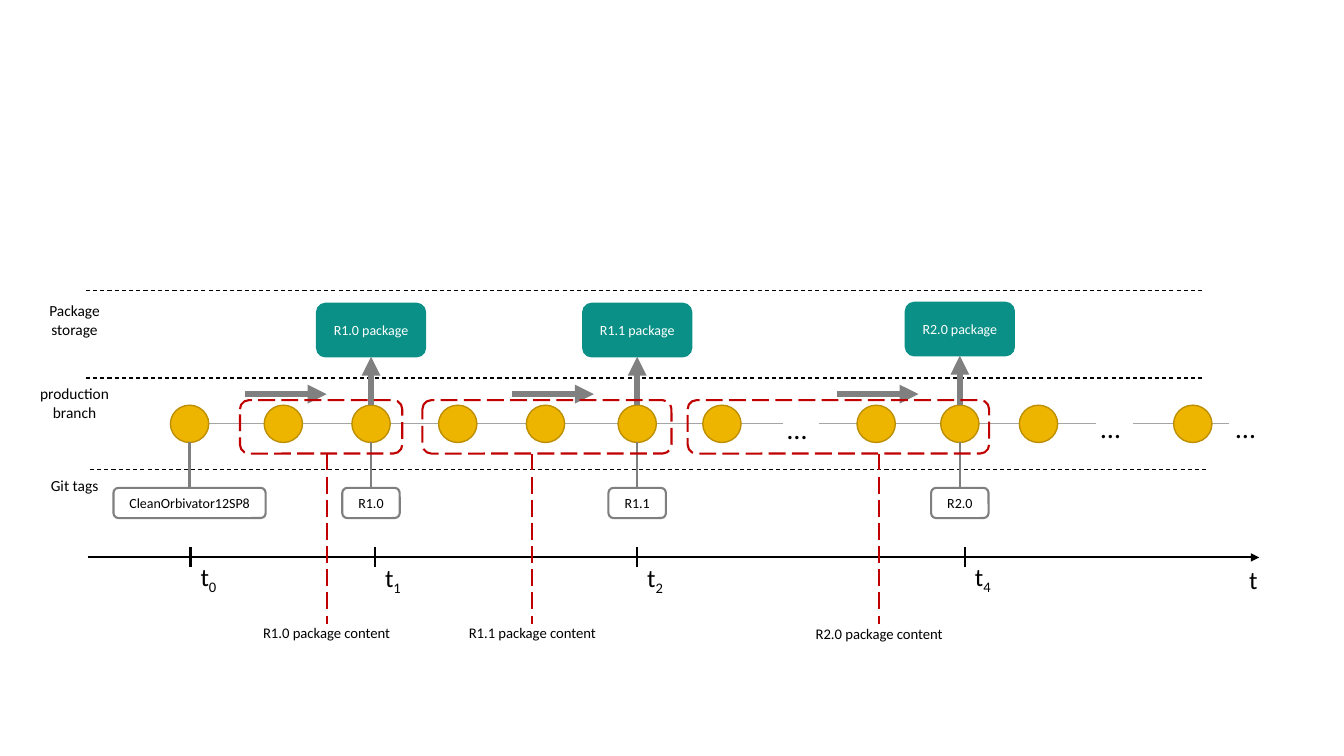
from dataclasses import dataclass
from itertools import pairwise

from lxml import etree
from pptx import Presentation
from pptx.dml.color import RGBColor
from pptx.enum.dml import MSO_LINE
from pptx.enum.shapes import MSO_CONNECTOR, MSO_SHAPE
from pptx.enum.text import MSO_ANCHOR, PP_ALIGN
from pptx.oxml.ns import qn
from pptx.util import Inches, Pt

STRAIGHT = MSO_CONNECTOR.STRAIGHT
ROUNDED = MSO_SHAPE.ROUNDED_RECTANGLE
COMMIT = MSO_SHAPE.FLOWCHART_CONNECTOR
DASH, LONG_DASH = MSO_LINE.DASH, MSO_LINE.LONG_DASH
TOP, MIDDLE = MSO_ANCHOR.TOP, MSO_ANCHOR.MIDDLE
LEFT, CENTER = PP_ALIGN.LEFT, PP_ALIGN.CENTER


@dataclass(frozen=True)
class Theme:
    font: str = "Calibri"
    ink: str = "000000"
    white: str = "FFFFFF"
    gold: str = "EEB500"
    gold_edge: str = "BD8E00"
    teal: str = "0A9086"
    red: str = "C00000"
    arrow: str = "808080"
    tag: str = "7F7F7F"
    link: str = "A5A5A5"
    box_size: float = 10
    content_size: float = 10.5
    lane_size: float = 11
    time_size: float = 18
    dots_size: float = 20


@dataclass(frozen=True)
class Release:
    name: str
    commit_x: float
    package_top: float
    arrow_x: float
    scope_x: float
    scope_width: float
    content_x: float
    content_top: float


@dataclass(frozen=True)
class Lane:
    label: str
    left: float
    top: float
    width: float
    height: float
    line_x: float
    line_y: float


@dataclass(frozen=True)
class Moment:
    index: str
    x: float
    label_top: float


THEME = Theme()
COMMIT_WIDTH, COMMIT_HEIGHT, COMMIT_TOP = 0.38, 0.37, 4.02
COMMIT_Y, COMMIT_BOTTOM = 4.2, 4.39
TAG_TOP, TAG_HEIGHT, TAG_WIDTH = 4.84, 0.3, 0.57
PACKAGE_WIDTH, PACKAGE_HEIGHT = 1.08, 0.53
SCOPE_TOP, SCOPE_HEIGHT = 3.97, 0.53
ARROW_Y, ARROW_LENGTH = 3.91, 0.81
AXIS_Y, TICK_HALF = 5.53, 0.1
CONTENT_WIDTH = 1.49

RELEASES = [
    Release("R1.0", 3.68, 3.01, 2.43, 2.38, 1.61, 3.24, 6.14),
    Release("R1.1", 6.32, 3.01, 5.08, 4.19, 2.47, 5.28, 6.14),
    Release("R2.0", 9.52, 3.0, 8.3, 6.82, 2.99, 8.72, 6.15),
]
LANES = [
    Lane("Package storage", 0.26, 2.94, 0.96, 0.47, 0.85, 2.88),
    Lane("production branch", 0.26, 3.76, 0.96, 0.47, 0.85, 3.75),
    Lane("Git tags", 0.3, 4.67, 0.88, 0.29, 0.89, 4.66),
]
LANE_LENGTH = 11.08
MOMENTS = [Moment("0", 1.89, 5.54), Moment("1", 3.72, 5.55),
           Moment("2", 6.32, 5.55), Moment("4", 9.57, 5.54)]
COMMIT_RUNS = [[1.88, 2.81, 3.68, 4.54, 5.41, 6.32, 7.16], [8.69, 9.52, 10.3], [11.83]]
LOOSE_LINKS = [(7.35, 7.77), (8.12, 8.5), (10.48, 10.87), (11.24, 11.64), (12.02, 12.19)]
DOTS = [(7.71, 4.03), (10.82, 4.02), (12.16, 4.02)]

deck = Presentation()
deck.slide_width, deck.slide_height = Inches(13.33), Inches(7.5)
slide = deck.slides.add_slide(deck.slide_layouts[6])


def write(frame, text: str, *, size: float, color: str = THEME.ink, align=LEFT,
          anchor=MIDDLE, wrap: bool = True, subscript: str = "") -> None:
    frame.word_wrap = wrap
    frame.vertical_anchor = anchor
    paragraph = frame.paragraphs[0]
    paragraph.alignment = align
    for part in filter(None, (text, subscript)):
        run = paragraph.add_run()
        run.text = part
        run.font.name = THEME.font
        run.font.size = Pt(size)
        run.font.color.rgb = RGBColor.from_string(color)
    if subscript:
        run.font._element.set("baseline", "-25000")


def add_label(text: str, left: float, top: float, width: float, height: float, **style) -> None:
    label = slide.shapes.add_textbox(Inches(left), Inches(top), Inches(width), Inches(height))
    write(label.text_frame, text, **style)


def set_line(line, color: str, weight: float, dash=None) -> None:
    line.color.rgb = RGBColor.from_string(color)
    line.width = Pt(weight)
    if dash is not None:
        line.dash_style = dash


def add_line(x1: float, y1: float, x2: float, y2: float, color: str, weight: float,
             dash=None, arrow: bool = False) -> None:
    connector = slide.shapes.add_connector(
        STRAIGHT, Inches(x1), Inches(y1), Inches(x2), Inches(y2))
    set_line(connector.line, color, weight, dash)
    if arrow:
        etree.SubElement(connector.line._get_or_add_ln(), qn("a:tailEnd"), type="triangle")
    etree.SubElement(connector._element.spPr, qn("a:effectLst"))


def add_box(preset, left: float, top: float, width: float, height: float, *, edge: str,
            weight: float = 1, fill: str = "", dash=None, text: str = "",
            color: str = THEME.ink) -> None:
    box = slide.shapes.add_shape(preset, Inches(left), Inches(top), Inches(width), Inches(height))
    box.shadow.inherit = False
    if fill:
        box.fill.solid()
        box.fill.fore_color.rgb = RGBColor.from_string(fill)
    else:
        box.fill.background()
    set_line(box.line, edge, weight, dash)
    if text:
        write(box.text_frame, text, size=THEME.box_size, color=color, align=CENTER)


def add_tag(text: str, x: float, width: float) -> None:
    add_box(ROUNDED, x - width / 2, TAG_TOP, width, TAG_HEIGHT,
            edge=THEME.tag, weight=1.5, text=text)
    add_line(x, TAG_TOP, x, COMMIT_BOTTOM, THEME.tag, 1.5)


def add_release(release: Release) -> None:
    x = release.commit_x
    package_bottom = release.package_top + PACKAGE_HEIGHT
    scope_bottom = SCOPE_TOP + SCOPE_HEIGHT
    add_box(ROUNDED, x - PACKAGE_WIDTH / 2, release.package_top, PACKAGE_WIDTH, PACKAGE_HEIGHT,
            edge=THEME.teal, fill=THEME.teal, text=f"{release.name} package", color=THEME.white)
    add_line(x, COMMIT_TOP, x, package_bottom, THEME.arrow, 4.5, arrow=True)
    add_line(release.arrow_x, ARROW_Y, release.arrow_x + ARROW_LENGTH, ARROW_Y,
             THEME.arrow, 4.5, arrow=True)
    add_tag(release.name, x, TAG_WIDTH)
    add_box(ROUNDED, release.scope_x, SCOPE_TOP, release.scope_width, SCOPE_HEIGHT,
            edge=THEME.red, weight=1.5, dash=LONG_DASH)
    add_line(release.content_x, scope_bottom, release.content_x, 6.19, THEME.red, 1.5, LONG_DASH)
    add_label(f"{release.name} package content", release.content_x - CONTENT_WIDTH / 2,
              release.content_top, CONTENT_WIDTH, 0.28, size=THEME.content_size,
              align=CENTER, anchor=TOP, wrap=False)


for lane in LANES:
    add_line(lane.line_x, lane.line_y, lane.line_x + LANE_LENGTH, lane.line_y,
             THEME.ink, 0.75, DASH)
    add_label(lane.label, lane.left, lane.top, lane.width, lane.height,
              size=THEME.lane_size, align=CENTER)

add_line(0.87, AXIS_Y, 12.49, AXIS_Y, THEME.ink, 1.5, arrow=True)
add_label("t", 12.29, 5.55, 0.32, 0.4, size=THEME.time_size)
for moment in MOMENTS:
    add_line(moment.x, AXIS_Y - TICK_HALF, moment.x, AXIS_Y + TICK_HALF, THEME.ink, 1.5)
    add_label("t", moment.x, moment.label_top, 0.45, 0.4,
              size=THEME.time_size, subscript=moment.index)

inner_links = [(a + COMMIT_WIDTH / 2, b - COMMIT_WIDTH / 2)
               for centers in COMMIT_RUNS for a, b in pairwise(centers)]
for start, end in inner_links + LOOSE_LINKS:
    add_line(start, COMMIT_Y, end, COMMIT_Y, THEME.link, 0.5)
for centers in COMMIT_RUNS:
    for center in centers:
        add_box(COMMIT, center - COMMIT_WIDTH / 2, COMMIT_TOP, COMMIT_WIDTH, COMMIT_HEIGHT,
                edge=THEME.gold_edge, fill=THEME.gold)
for left, top in DOTS:
    add_label("…", left, top, 0.38, 0.44, size=THEME.dots_size, anchor=TOP)

add_tag("CleanOrbivator12SP8", 1.88, 1.51)
for release in RELEASES:
    add_release(release)

deck.save("out.pptx")
